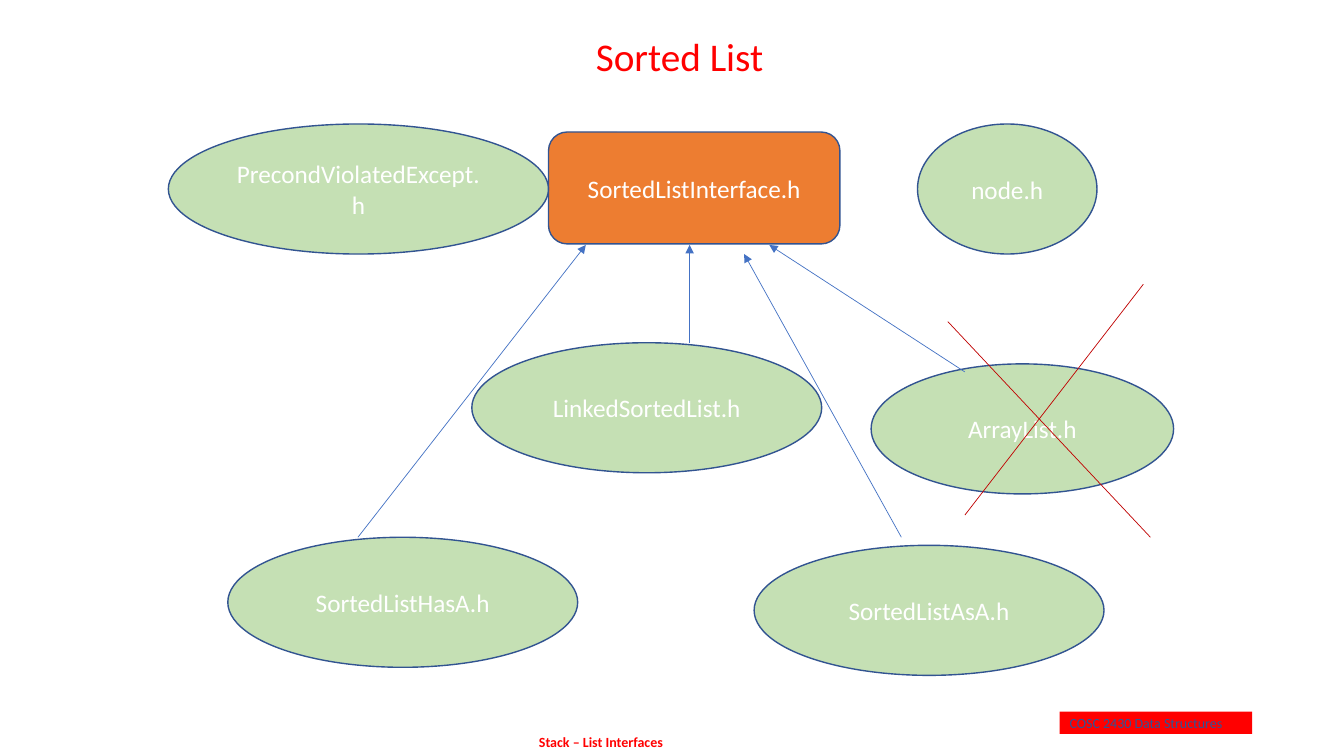
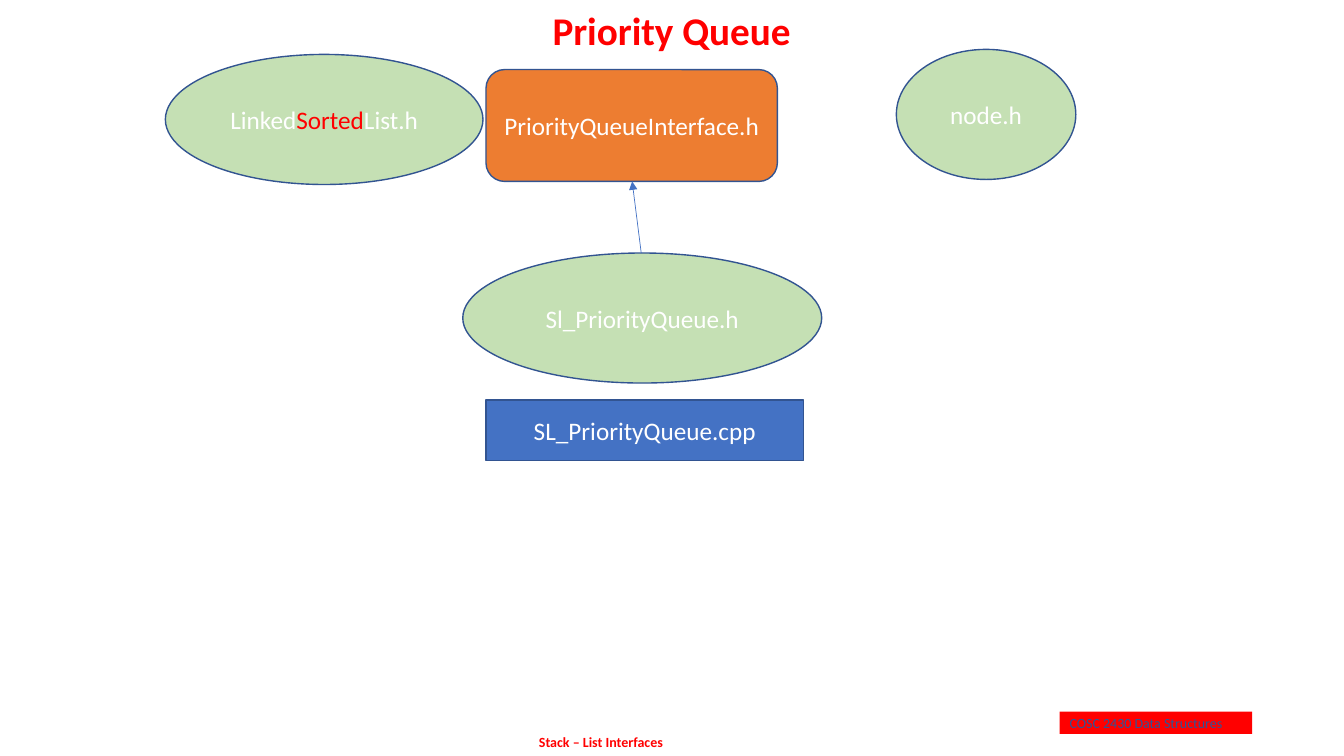
import pptx
import pptx.util
import pptx.dml.color
import pptx.enum.shapes
import pptx.enum.text
import pptx.oxml.ns
import lxml.etree
from dataclasses import dataclass

Inches, Pt = pptx.util.Inches, pptx.util.Pt
SHAPE = pptx.enum.shapes.MSO_SHAPE
ALIGN = pptx.enum.text.PP_ALIGN
ANCHOR = pptx.enum.text.MSO_ANCHOR
FIT = pptx.enum.text.MSO_AUTO_SIZE


@dataclass(frozen=True)
class Theme:
    font: str = "Calibri"
    red: str = "FF0000"
    white: str = "FFFFFF"
    green: str = "C5E0B4"
    orange: str = "ED7D31"
    blue: str = "4472C4"
    outline: str = "325491"
    course: str = "2F5597"
    cross: str = "C00000"
    title_size: int = 28
    body_size: int = 18
    footer_size: int = 10
    outline_width: float = 1
    line_width: float = 0.5


T = Theme()
FOOTER = "Stack – List Interfaces"
COURSE = "COSC 2430 Data Structures"
KINDS = {
    "header": (SHAPE.OVAL, T.green, 1.29),
    "interface": (SHAPE.ROUNDED_RECTANGLE, T.orange, 1.11),
    "source": (SHAPE.RECTANGLE, T.blue, 0.6),
}
SLIDES = [
    dict(
        title="Sorted List", title_box=(5.81, 0.27, 1.88, 0.57), bold=False,
        nodes=[
            ("header", 2.26, 5.33, 3.47, "SortedListHasA.h"),
            ("interface", 5.44, 1.31, 2.89, "SortedListInterface.h"),
            ("header", 9.1, 1.23, 1.78, "node.h"),
            ("header", 1.67, 1.23, 3.77, "PrecondViolatedExcept.h"),
            ("header", 8.64, 3.61, 3, "ArrayList.h"),
            ("header", 4.68, 3.4, 3.47, "LinkedSortedList.h"),
            ("header", 7.48, 5.41, 3.47, "SortedListAsA.h"),
        ],
        arrows=[
            (6.84, 3.4, 6.84, 2.43),
            (9.57, 3.69, 7.63, 2.43),
            (3.55, 5.33, 5.81, 2.43),
            (8.94, 5.33, 7.38, 2.52),
        ],
        crosses=[(11.34, 2.82, 9.57, 5.11), (9.4, 3.19, 11.41, 5.33)],
    ),
    dict(
        title="Priority Queue", title_box=(5.38, 0.01, 2.59, 0.57), bold=True,
        nodes=[
            ("header", 1.64, 0.54, 3.15,
             [("Linked", T.white), ("Sorted", T.red), ("List.h", T.white)]),
            ("header", 8.89, 0.49, 1.78, "node.h"),
            ("interface", 4.82, 0.69, 2.89, "PriorityQueueInterface.h"),
            ("header", 4.59, 2.51, 3.56, "Sl_PriorityQueue.h"),
            ("source", 4.82, 3.97, 3.15, "SL_PriorityQueue.cpp"),
        ],
        arrows=[(6.36, 2.51, 6.27, 1.8)],
        crosses=[],
    ),
]


def rgb(color):
    return pptx.dml.color.RGBColor.from_string(color)


def write(sp, text, size=T.body_size, color=T.white, bold=False,
          align=ALIGN.CENTER, anchor=ANCHOR.MIDDLE, wrap=True, fit=FIT.NONE,
          inset=None, spacing=None):
    tf = sp.text_frame
    tf.word_wrap, tf.auto_size, tf.vertical_anchor = wrap, fit, anchor
    if inset is not None:
        tf.margin_left = tf.margin_right = Inches(inset)
        tf.margin_top = tf.margin_bottom = Inches(inset)
    p = tf.paragraphs[0]
    p.alignment = align
    p.line_spacing = spacing
    for part, part_color in [(text, color)] if isinstance(text, str) else text:
        r = p.add_run()
        r.text = part
        r.font.name, r.font.size, r.font.bold = T.font, Pt(size), bold
        r.font.color.rgb = rgb(part_color)


def add_box(s, shape, box, fill, outline=None):
    sp = s.shapes.add_shape(shape, *map(Inches, box))
    sp.shadow.inherit = False
    sp.fill.solid()
    sp.fill.fore_color.rgb = rgb(fill)
    if outline:
        sp.line.color.rgb = rgb(outline)
        sp.line.width = Pt(T.outline_width)
    else:
        sp.line.fill.background()
    return sp


def add_line(s, ends, color, arrow=False):
    qn = pptx.oxml.ns.qn
    line = s.shapes.add_connector(
        pptx.enum.shapes.MSO_CONNECTOR.STRAIGHT, *map(Inches, ends))
    line.line.color.rgb = rgb(color)
    line.line.width = Pt(T.line_width)
    props = line._element.spPr
    if arrow:
        lxml.etree.SubElement(props.find(qn("a:ln")), qn("a:tailEnd"), type="triangle")
    lxml.etree.SubElement(props, qn("a:effectLst"))


def add_footer(s):
    sp = add_box(s, SHAPE.RECTANGLE, (3.96, 7.3, 4, 0.2), T.white)
    write(sp, FOOTER, size=T.footer_size, color=T.red, bold=True,
          anchor=ANCHOR.TOP, inset=0, spacing=0.9)
    add_box(s, SHAPE.RECTANGLE, (10.51, 7.06, 1.91, 0.22), T.red)
    sp = s.shapes.add_textbox(*map(Inches, (10.51, 7.04, 3.27, 0.27)))
    write(sp, COURSE, size=T.footer_size, color=T.course, align=ALIGN.LEFT,
          anchor=ANCHOR.TOP, fit=FIT.SHAPE_TO_FIT_TEXT)


def add_title(s, text, box, bold):
    sp = s.shapes.title
    sp.left, sp.top, sp.width, sp.height = map(Inches, box)
    write(sp, text, size=T.title_size, color=T.red, bold=bold,
          align=ALIGN.LEFT, anchor=ANCHOR.TOP, wrap=False,
          fit=FIT.SHAPE_TO_FIT_TEXT)


def build_slide(prs, content):
    s = prs.slides.add_slide(prs.slide_layouts[5])
    add_footer(s)
    add_title(s, content["title"], content["title_box"], content["bold"])
    for kind, left, top, width, text in content["nodes"]:
        shape, fill, height = KINDS[kind]
        write(add_box(s, shape, (left, top, width, height), fill, T.outline), text)
    for ends in content["arrows"]:
        add_line(s, ends, T.blue, arrow=True)
    for ends in content["crosses"]:
        add_line(s, ends, T.cross)


prs = pptx.Presentation()
prs.slide_width, prs.slide_height = Inches(13.33), Inches(7.5)
for content in SLIDES:
    build_slide(prs, content)
prs.save("out.pptx")
